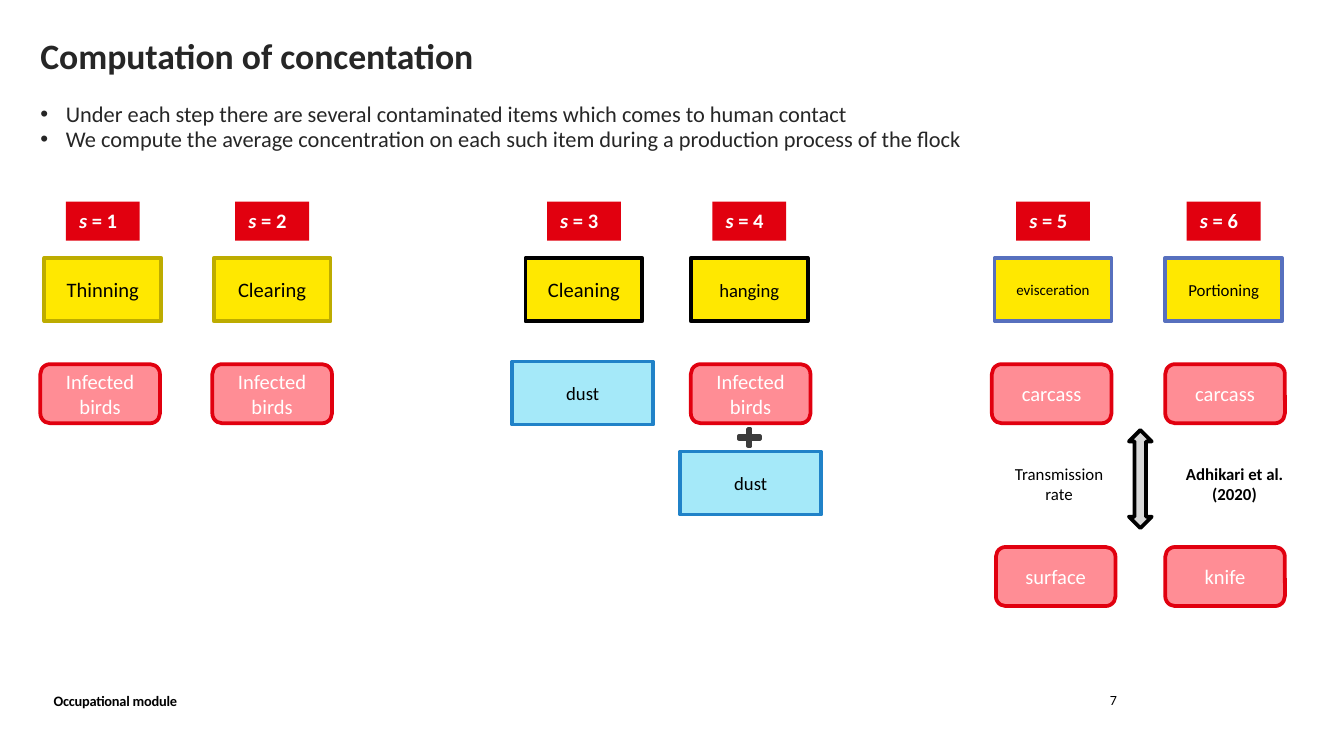
from dataclasses import dataclass
from typing import Optional

from lxml.etree import SubElement
from pptx import Presentation
from pptx.dml.color import RGBColor
from pptx.enum.shapes import MSO_SHAPE
from pptx.enum.text import MSO_ANCHOR, MSO_AUTO_SIZE, PP_ALIGN
from pptx.oxml.ns import qn
from pptx.util import Inches, Pt


@dataclass(frozen=True)
class Theme:
    font: str = "Calibri"
    ink: str = "262626"
    black: str = "000000"
    white: str = "FFFFFF"
    red: str = "E1000F"
    pink: str = "FF8D95"
    yellow: str = "FFE800"
    olive: str = "BDAC00"
    indigo: str = "5770BE"
    sky: str = "A5E9F9"
    blue: str = "2082C8"
    grey: str = "D9D9D9"
    charcoal: str = "3C3C3C"
    title: float = 19.1
    body: float = 12
    label: float = 11
    medium: float = 10
    small: float = 9
    tiny: float = 8
    footer: float = 7.7
    page: float = 7.5
    outline: float = 2


@dataclass(frozen=True)
class Box:
    left: float
    top: float
    width: float
    height: float


@dataclass(frozen=True)
class Style:
    preset: MSO_SHAPE
    fill: str
    line: Optional[str]
    text: str = "000000"
    size: float = 11


@dataclass(frozen=True)
class Step:
    name: str
    left: float
    line: str
    size: float


@dataclass(frozen=True)
class Item:
    name: str
    box: Box
    style: Style


@dataclass(frozen=True)
class Note:
    text: str
    box: Box
    size: float
    align: PP_ALIGN
    bold: bool = False
    anchor: MSO_ANCHOR = MSO_ANCHOR.TOP
    tracking: float = 0


THEME = Theme()
STEP_TOP, STEP_WIDTH, STEP_HEIGHT = 1.92, 0.87, 0.47
TAG_TOP, TAG_WIDTH, TAG_HEIGHT = 1.5, 0.55, 0.29
ITEM_TOP, CONTACT_TOP = 2.71, 4.07

TAG = Style(MSO_SHAPE.RECTANGLE, THEME.red, None)
SOURCE = Style(MSO_SHAPE.ROUNDED_RECTANGLE, THEME.pink, THEME.red, THEME.white, THEME.label)
DUST = Style(MSO_SHAPE.RECTANGLE, THEME.sky, THEME.blue, THEME.black, THEME.medium)
EXCHANGE = Style(MSO_SHAPE.UP_DOWN_ARROW, THEME.grey, THEME.black)
PLUS = Style(MSO_SHAPE.MATH_PLUS, THEME.black, THEME.charcoal)

BULLETS = (
    "Under each step there are several contaminated items which comes to human contact",
    "We compute the average concentration on each such item during a production process of the flock",
)
STEPS = (
    Step("Thinning", 0.33, THEME.olive, THEME.label),
    Step("Clearing", 1.59, THEME.olive, THEME.label),
    Step("Cleaning", 3.91, THEME.black, THEME.label),
    Step("hanging", 5.14, THEME.black, THEME.medium),
    Step("evisceration", 7.4, THEME.indigo, THEME.tiny),
    Step("Portioning", 8.67, THEME.indigo, THEME.small),
)


def source_item(name: str, left: float, top: float = ITEM_TOP) -> Item:
    return Item(name, Box(left, top, 0.89, 0.44), SOURCE)


def dust_item(left: float, top: float) -> Item:
    return Item("dust", Box(left, top, 1.05, 0.47), DUST)


ITEMS = (
    source_item("Infected birds", 0.3),
    source_item("Infected birds", 1.58),
    dust_item(3.81, 2.69),
    source_item("Infected birds", 5.14),
    dust_item(5.06, 3.36),
    source_item("carcass", 7.38),
    source_item("carcass", 8.67),
    source_item("surface", 7.41, CONTACT_TOP),
    source_item("knife", 8.67, CONTACT_TOP),
)
NOTES = (
    Note("Transmission rate", Box(7.38, 3.4, 1, 0.4), THEME.small, PP_ALIGN.CENTER),
    Note("Adhikari et al. (2020)", Box(8.59, 3.4, 1.19, 0.4), THEME.small, PP_ALIGN.CENTER, True),
    Note("Occupational module", Box(0.3, 5.1, 3.38, 0.23), THEME.footer, PP_ALIGN.LEFT, True,
         MSO_ANCHOR.BOTTOM, -0.1),
    Note("7", Box(6.93, 5.1, 1.48, 0.23), THEME.page, PP_ALIGN.RIGHT),
)


def lengths(box: Box) -> tuple:
    return Inches(box.left), Inches(box.top), Inches(box.width), Inches(box.height)


def add_run(paragraph, text: str, size: float, color: str, bold: bool = False,
            italic: bool = False, tracking: float = 0) -> None:
    run = paragraph.add_run()
    run.text = text
    run.font.name = THEME.font
    run.font.size = Pt(size)
    run.font.bold = bold
    run.font.italic = italic
    run.font.color.rgb = RGBColor.from_string(color)
    if tracking:
        run._r.get_or_add_rPr().set("spc", str(round(tracking * 100)))


def draw_shape(slide, box: Box, style: Style, text: str = ""):
    shape = slide.shapes.add_shape(style.preset, *lengths(box))
    shape.shadow.inherit = False
    shape.fill.solid()
    shape.fill.fore_color.rgb = RGBColor.from_string(style.fill)
    if style.line:
        shape.line.color.rgb = RGBColor.from_string(style.line)
        shape.line.width = Pt(THEME.outline)
    else:
        shape.line.fill.background()
    if text:
        shape.text_frame.word_wrap = True
        shape.text_frame.vertical_anchor = MSO_ANCHOR.MIDDLE
        paragraph = shape.text_frame.paragraphs[0]
        paragraph.alignment = PP_ALIGN.CENTER
        add_run(paragraph, text, style.size, style.text)
    return shape


def draw_step(slide, number: int, step: Step) -> None:
    tag_left = step.left + (STEP_WIDTH - TAG_WIDTH) / 2
    tag = draw_shape(slide, Box(tag_left, TAG_TOP, TAG_WIDTH, TAG_HEIGHT), TAG)
    tag.text_frame.vertical_anchor = MSO_ANCHOR.TOP
    paragraph = tag.text_frame.paragraphs[0]
    paragraph.alignment = PP_ALIGN.LEFT
    add_run(paragraph, "s", THEME.label, THEME.white, bold=True, italic=True)
    add_run(paragraph, f" = {number}", THEME.label, THEME.white, bold=True)
    style = Style(MSO_SHAPE.RECTANGLE, THEME.yellow, step.line, THEME.black, step.size)
    draw_shape(slide, Box(step.left, STEP_TOP, STEP_WIDTH, STEP_HEIGHT), style, step.name)


def draw_note(slide, note: Note) -> None:
    frame = slide.shapes.add_textbox(*lengths(note.box)).text_frame
    frame.word_wrap = True
    frame.vertical_anchor = note.anchor
    frame.paragraphs[0].alignment = note.align
    add_run(frame.paragraphs[0], note.text, note.size, THEME.black, note.bold,
            tracking=note.tracking)


def fill_placeholder(placeholder, box: Box, lines: tuple, size: float, bold: bool = False,
                     bulleted: bool = False) -> None:
    placeholder.left, placeholder.top, placeholder.width, placeholder.height = lengths(box)
    frame = placeholder.text_frame
    frame.word_wrap = True
    frame.auto_size = MSO_AUTO_SIZE.NONE
    frame.vertical_anchor = MSO_ANCHOR.TOP
    frame.margin_left = frame.margin_right = frame.margin_top = frame.margin_bottom = 0
    for index, line in enumerate(lines):
        paragraph = frame.add_paragraph() if index else frame.paragraphs[0]
        paragraph.alignment = PP_ALIGN.LEFT
        paragraph.line_spacing = 0.9
        paragraph.space_before = Pt(0)
        if bulleted:
            properties = paragraph._p.get_or_add_pPr()
            properties.set("marL", str(Inches(0.19)))
            properties.set("indent", str(Inches(-0.19)))
            SubElement(properties, qn("a:buFont"), typeface="Arial")
            SubElement(properties, qn("a:buChar"), char="•")
        add_run(paragraph, line, size, THEME.ink, bold)


def main() -> None:
    deck = Presentation()
    deck.slide_width = Inches(10)
    deck.slide_height = deck.slide_width * 9 // 16
    slide = deck.slides.add_slide(deck.slide_layouts[1])
    fill_placeholder(slide.shapes.title, Box(0.3, 0.29, 8.92, 0.7),
                     ("Computation of concentation",), THEME.title, bold=True)
    fill_placeholder(slide.placeholders[1], Box(0.3, 0.77, 8.92, 0.7), BULLETS, THEME.body,
                     bulleted=True)
    for number, step in enumerate(STEPS, start=1):
        draw_step(slide, number, step)
    for item in ITEMS:
        draw_shape(slide, item.box, item.style, item.name)
    draw_shape(slide, Box(8.4, 3.2, 0.17, 0.73), EXCHANGE)
    plus = draw_shape(slide, Box(5.47, 3.17, 0.21, 0.17), PLUS)
    plus.adjustments[0] = 0.11
    for note in NOTES:
        draw_note(slide, note)
    deck.save("out.pptx")


if __name__ == "__main__":
    main()
